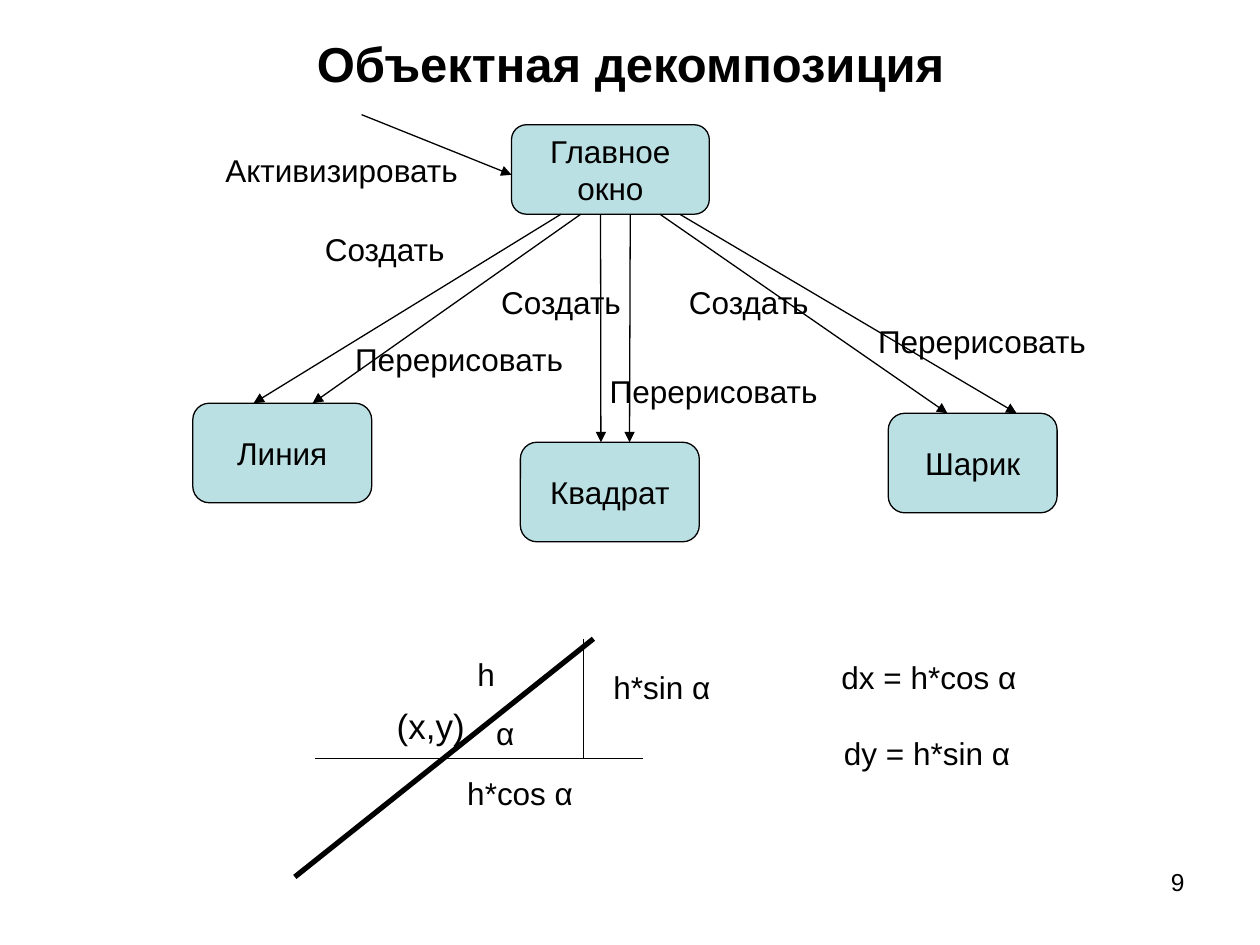
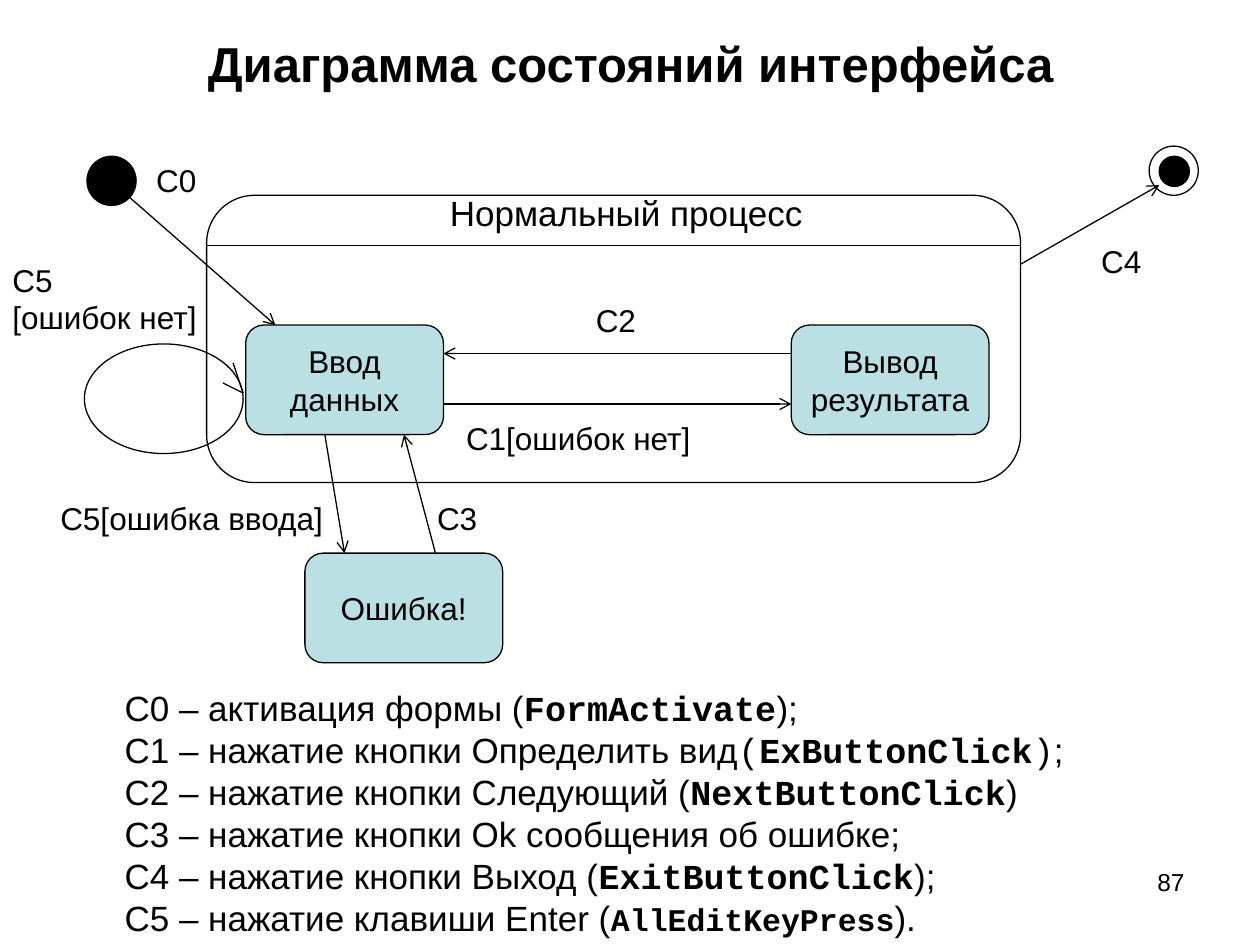
import pptx
import pptx.dml.color
import pptx.enum.shapes
import pptx.enum.text
import pptx.oxml
import pptx.util
from lxml import etree

SHAPE = pptx.enum.shapes.MSO_SHAPE
ALIGN = pptx.enum.text.PP_ALIGN
ANCHOR = pptx.enum.text.MSO_ANCHOR
WIDTH, HEIGHT = 10, 7.5

THEME = {
    "ink": "000000", "node": "BBE0E3",
    "thin": 0.75, "thick": 3,
    "label_height": 0.4,
    # style: (font, size, bold)
    "title": ("Arial", 28, True),
    "label": ("Arial", 18, False),
    "large": ("Arial", 20, False),
    "number": ("Arial", 14, False),
    "mono": ("Courier New", 20, False),
    "code": ("Courier New", 20, True),
    "small code": ("Courier New", 18, True),
}

# Boxes: left, top, width, height. Arrow ends: a point, or (box, side, share of that side).
DECOMPOSITION = {
    "title": "Объектная декомпозиция",
    "number": "9",
    "head": "triangle",
    "nodes": {
        "main": (4.06, 0.99, 1.57, 0.71, "Главное\nокно"),
        "line": (1.53, 3.2, 1.42, 0.79, "Линия"),
        "square": (4.13, 3.51, 1.42, 0.79, "Квадрат"),
        "ball": (7.05, 3.28, 1.34, 0.79, "Шарик"),
    },
    "arrows": [
        ((2.87, 0.91), ("main", "left", 0.56)),
        (("main", "bottom", 0.25), ("line", "top", 0.34)),
        (("main", "bottom", 0.35), ("line", "top", 0.67)),
        (("main", "bottom", 0.45), ("square", "top", 0.45)),
        (("main", "bottom", 0.6), ("square", "top", 0.61)),
        (("main", "bottom", 0.75), ("ball", "top", 0.35)),
        (("main", "bottom", 0.85), ("ball", "top", 0.76)),
    ],
    "labels": [
        (1.69, 1.15, 2.05, "Активизировать"),
        (2.48, 1.78, 1.16, "Создать"),
        (3.88, 2.2, 1.16, "Создать"),
        (5.37, 2.2, 1.16, "Создать"),
        (2.72, 2.65, 1.85, "Перерисовать"),
        (4.74, 2.9, 1.85, "Перерисовать"),
        (6.87, 2.51, 1.85, "Перерисовать"),
        (4.77, 5.25, 0.98, "h*sin α"),
        (3.69, 5.15, 0.34, "h"),
        (3.61, 6.09, 1.05, "h*cos α"),
        (3.84, 5.62, 0.36, "α"),
        (6.58, 5.17, 1.67, "dx = h*cos α"),
        (6.6, 5.78, 1.6, "dy = h*sin α"),
    ],
}
ORIGIN_LABEL = (3.05, 5.54, 0.74, 0.44, "(x,y)")
ANGLE_SKETCH = [
    ((2.34, 6.96), (4.71, 5.07), "thick"),
    ((2.5, 6.02), (5.1, 6.02), "thin"),
    ((4.63, 5.07), (4.63, 6.02), "thin"),
]

STATES = {
    "title": "Диаграмма состояний интерфейса",
    "number": "87",
    "head": "arrow",
    "nodes": {
        "input": (1.95, 2.58, 1.57, 0.87, "Ввод\nданных"),
        "result": (6.28, 2.58, 1.57, 0.87, "Вывод\nрезультата"),
        "error": (2.42, 4.39, 1.57, 0.87, "Ошибка!"),
        "process": (1.64, 1.55, 6.46, 2.28, ""),
    },
    "arrows": [
        ((1.01, 1.55), ("input", "top", 0.15)),
        (("input", "right", 0.72), ("result", "left", 0.72)),
        (("result", "left", 0.26), ("input", "right", 0.26)),
        (("process", "right", 0.24), (9.2, 1.47)),
        (("input", "bottom", 0.4), ("error", "top", 0.2)),
        (("error", "top", 0.66), ("input", "bottom", 0.8)),
    ],
    "labels": [
        (1.14, 1.23, 0.55, "С0"),
        (0.38, 3.91, 2.68, "С5[ошибка ввода]"),
        (4.63, 2.34, 0.55, "С2"),
        (3.6, 3.28, 2.68, "С1[ошибок нет]"),
        (3.37, 3.91, 0.55, "С3"),
        (8.64, 1.87, 0.55, "С4"),
        (0, 2.02, 1.69, "С5\n[ошибок нет]"),
    ],
}
PROCESS_NAME = (2.87, 1.47, 4.2, 0.44, "Нормальный процесс")
PROCESS_RULE = 1.95
CIRCLES = [  # centre x, centre y, width, height, fill
    (0.885, 1.435, 0.39, 0.39, "ink"),
    (9.315, 1.355, 0.39, 0.39, None),
    (9.32, 1.36, 0.24, 0.24, "ink"),
    (1.3, 3.165, 1.26, 0.87, None),
]
LOOP_TIP = (1.93, 3.12)
LOOP_BARBS = [(1.77, 3.04), (1.85, 2.88)]
LEGEND_BOX = (0.89, 5.4, 7.67, 2.1)
LEGEND = [
    [("С0 – активация формы (", "large"), ("FormActivate", "code"), (");", "large")],
    [("С1 – нажатие кнопки Определить вид", "large"), ("(", "mono"),
     ("ExButtonClick", "code"), (")", "mono"), (";", "large")],
    [("С2 – нажатие кнопки Следующий (", "large"), ("NextButtonClick", "code"), (")", "large")],
    [("C3 – нажатие кнопки Ok сообщения об ошибке;", "large")],
    [("С4 – нажатие кнопки Выход (", "large"), ("ExitButtonClick", "code"), (");", "large")],
    [("С5 – нажатие клавиши Enter (", "large"), ("AllEditKeyPress", "small code"), (").", "large")],
]


def inches(*values):
    return [pptx.util.Inches(v) for v in values]


def color(name):
    return pptx.dml.color.RGBColor.from_string(THEME[name])


def lines(text, style):
    return [[(line, style)] for line in text.split("\n")]


def write(tf, paragraphs, align=ALIGN.LEFT, anchor=ANCHOR.TOP, wrap=False):
    """Fill a text frame with paragraphs, each a list of (text, style) runs."""
    tf.word_wrap = wrap
    tf.vertical_anchor = anchor
    for i, runs in enumerate(paragraphs):
        p = tf.add_paragraph() if i else tf.paragraphs[0]
        p.alignment = align
        for text, style in runs:
            r = p.add_run()
            r.text = text
            r.font.name, size, r.font.bold = THEME[style]
            r.font.size = pptx.util.Pt(size)
            r.font.color.rgb = color("ink")


def add_text(s, box, paragraphs, **options):
    write(s.shapes.add_textbox(*inches(*box)).text_frame, paragraphs, **options)


def add_outlined(s, kind, box, fill=None):
    sp = s.shapes.add_shape(kind, *inches(*box))
    sp.shadow.inherit = False
    if fill:
        sp.fill.solid()
        sp.fill.fore_color.rgb = color(fill)
    else:
        sp.fill.background()
    sp.line.color.rgb = color("ink")
    sp.line.width = pptx.util.Pt(THEME["thin"])
    return sp


def add_line(s, start, end, weight="thin", head=None):
    straight = pptx.enum.shapes.MSO_CONNECTOR.STRAIGHT
    c = s.shapes.add_connector(straight, *inches(*start, *end))
    c.line.color.rgb = color("ink")
    c.line.width = pptx.util.Pt(THEME[weight])
    if head:
        tail = etree.SubElement(c.line._get_or_add_ln(), pptx.oxml.ns.qn("a:tailEnd"))
        tail.set("type", head)
    etree.SubElement(c._element.spPr, pptx.oxml.ns.qn("a:effectLst"))


def locate(end, nodes):
    """Turn an arrow end into a point."""
    if len(end) == 2:
        return end
    name, side, share = end
    x, y, w, h, _ = nodes[name]
    return {"top": (x + share * w, y), "bottom": (x + share * w, y + h),
            "left": (x, y + share * h), "right": (x + w, y + share * h)}[side]


def add_diagram(prs, content):
    s = prs.slides.add_slide(prs.slide_layouts[6])
    add_text(s, (0.27, 0.16, 9.47, 0.68), lines(content["title"], "title"),
             align=ALIGN.CENTER, anchor=ANCHOR.MIDDLE, wrap=True)
    nodes = content["nodes"]
    for *box, text in nodes.values():
        sp = add_outlined(s, SHAPE.ROUNDED_RECTANGLE, box, "node" if text else None)
        if text:
            write(sp.text_frame, lines(text, "label"), ALIGN.CENTER, ANCHOR.MIDDLE)
    for start, end in content["arrows"]:
        add_line(s, locate(start, nodes), locate(end, nodes), head=content["head"])
    for x, y, w, text in content["labels"]:
        paragraphs = lines(text, "label")
        add_text(s, (x, y, w, THEME["label_height"] * len(paragraphs)), paragraphs,
                 wrap=content is STATES)
    add_text(s, (7.17, 6.83, 2.33, 0.52), lines(content["number"], "number"),
             align=ALIGN.RIGHT, wrap=True)
    return s


def add_decomposition(prs):
    s = add_diagram(prs, DECOMPOSITION)
    for start, end, weight in ANGLE_SKETCH:
        add_line(s, start, end, weight)
    *box, text = ORIGIN_LABEL
    add_text(s, box, lines(text, "large"))


def add_states(prs):
    s = add_diagram(prs, STATES)
    left, _, width, _, _ = STATES["nodes"]["process"]
    add_line(s, (left, PROCESS_RULE), (left + width, PROCESS_RULE))
    *box, text = PROCESS_NAME
    add_text(s, box, lines(text, "large"), align=ALIGN.CENTER, wrap=True)
    for x, y, w, h, fill in CIRCLES:
        add_outlined(s, SHAPE.OVAL, (x - w / 2, y - h / 2, w, h), fill)
    for barb in LOOP_BARBS:
        add_line(s, barb, LOOP_TIP)
    add_text(s, LEGEND_BOX, LEGEND)


def main():
    prs = pptx.Presentation()
    prs.slide_width, prs.slide_height = inches(WIDTH, HEIGHT)
    add_decomposition(prs)
    add_states(prs)
    prs.save("out.pptx")


if __name__ == "__main__":
    main()
